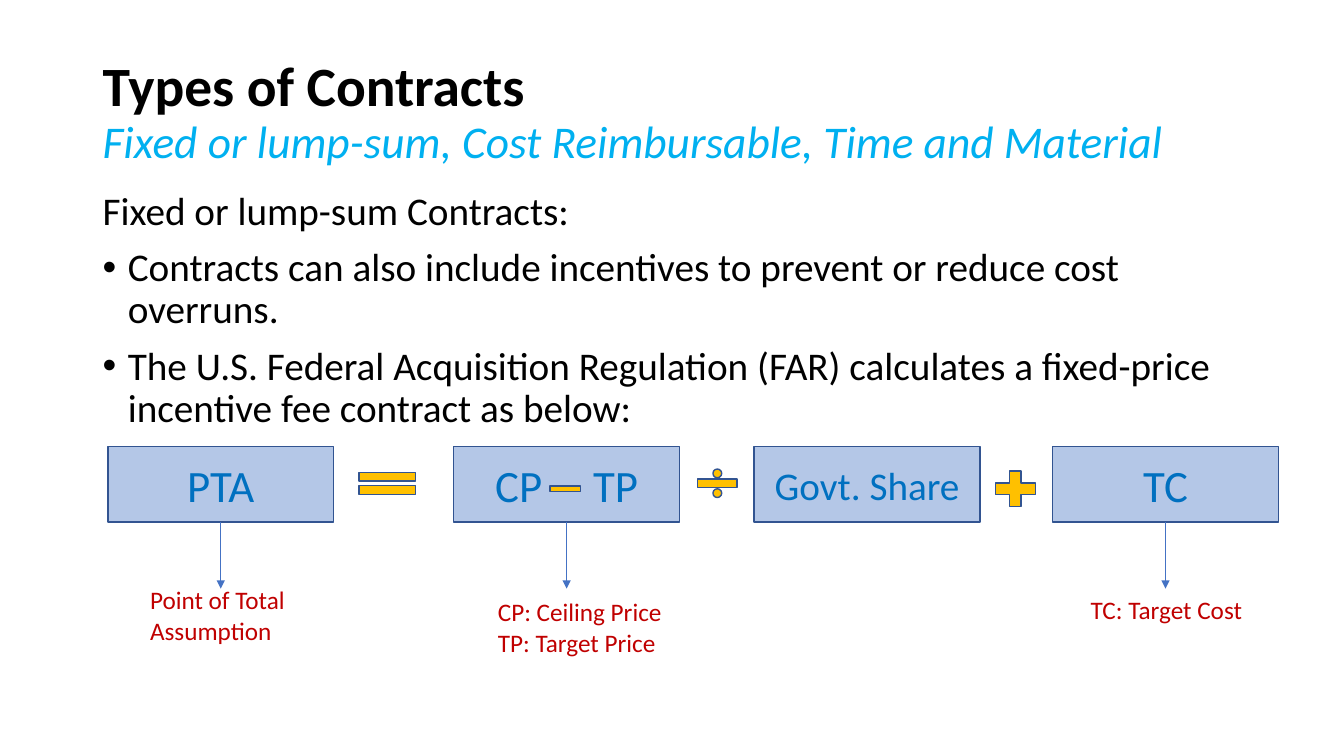
from dataclasses import dataclass

from lxml import etree
from pptx import Presentation
from pptx.dml.color import RGBColor
from pptx.enum.shapes import MSO_CONNECTOR, MSO_SHAPE
from pptx.enum.text import MSO_ANCHOR, PP_ALIGN
from pptx.oxml.ns import qn
from pptx.util import Inches, Pt

RECT = MSO_SHAPE.RECTANGLE
EQUAL, DIVIDE = MSO_SHAPE.MATH_EQUAL, MSO_SHAPE.MATH_DIVIDE
PLUS, MINUS = MSO_SHAPE.MATH_PLUS, MSO_SHAPE.MATH_MINUS
STRAIGHT = MSO_CONNECTOR.STRAIGHT
MIDDLE, TOP = MSO_ANCHOR.MIDDLE, MSO_ANCHOR.TOP
CENTER = PP_ALIGN.CENTER
BOTTOM_SIDE = 2

FONT = "Calibri"
COLORS = {
    "text": "000000",
    "subtitle": "00B0F0",
    "term": "0070C0",
    "term_fill": "B4C7E7",
    "outline": "325491",
    "operator": "FFC000",
    "arrow": "4472C4",
    "note": "C00000",
}
TERM_TOP, TERM_WIDTH, TERM_HEIGHT = 4.43, 2.24, 0.75
ARROW_END = 5.84
NOTE_WIDTH = 1.96


@dataclass
class Note:
    left: float
    top: float
    height: float
    lines: list[str]


@dataclass
class Term:
    left: float
    text: str
    size: int = 32
    gap: int = 0  # extra width of the space between words, in points
    note: Note | None = None


@dataclass
class Operator:
    kind: MSO_SHAPE
    left: float
    top: float
    width: float
    height: float


TERMS = [
    Term(1.07, "PTA", note=Note(1.39, 5.75, 0.71, ["Point of Total Assumption"])),
    Term(4.5, "CP TP", gap=29,
         note=Note(4.84, 5.87, 0.71, ["CP: Ceiling Price", "TP: Target Price"])),
    Term(7.48, "Govt. Share", size=28),
    Term(10.44, "TC", note=Note(10.72, 5.85, 0.4, ["TC: Target Cost"])),
]
OPERATORS = [
    Operator(EQUAL, 3.46, 4.61, 0.76, 0.37),
    Operator(DIVIDE, 6.85, 4.61, 0.53, 0.37),
    Operator(PLUS, 9.8, 4.61, 0.54, 0.48),
    Operator(MINUS, 5.4, 4.73, 0.41, 0.24),
]
BULLETS = [
    "Contracts can also include incentives to prevent or reduce cost overruns.",
    "The U.S. Federal Acquisition Regulation (FAR) calculates a fixed-price "
    "incentive fee contract as below:",
]


def rgb(name: str) -> RGBColor:
    return RGBColor.from_string(COLORS[name])


def write(p, text: str, *, size: float, color: str = "text", bold: bool = False,
          italic: bool = False, spacing: int = 0) -> None:
    """Append a formatted run to a paragraph."""
    r = p.add_run()
    r.text = text
    r.font.name, r.font.size = FONT, Pt(size)
    r.font.bold, r.font.italic = bold, italic
    r.font.color.rgb = rgb(color)
    if spacing:
        r.font._element.set("spc", str(spacing * 100))


def next_paragraph(tf, first: bool):
    return tf.paragraphs[0] if first else tf.add_paragraph()


def add_box(slide, left: float, top: float, width: float, height: float,
            anchor=TOP):
    sp = slide.shapes.add_textbox(Inches(left), Inches(top), Inches(width), Inches(height))
    tf = sp.text_frame
    tf.word_wrap = True
    tf.vertical_anchor = anchor
    return tf


def add_preset(slide, kind, left: float, top: float, width: float, height: float,
               fill: str):
    sp = slide.shapes.add_shape(kind, Inches(left), Inches(top), Inches(width), Inches(height))
    sp.shadow.inherit = False
    sp.fill.solid()
    sp.fill.fore_color.rgb = rgb(fill)
    sp.line.color.rgb = rgb("outline")
    sp.line.width = Pt(1)
    return sp


def add_bullet(p) -> None:
    pPr = p._p.get_or_add_pPr()
    pPr.set("marL", str(Inches(0.25)))
    pPr.set("indent", str(Inches(-0.25)))
    etree.SubElement(pPr, qn("a:buFont"), typeface="Arial")
    etree.SubElement(pPr, qn("a:buChar"), char="•")


def add_arrow_below(slide, sp) -> None:
    x = sp.left + sp.width // 2
    line = slide.shapes.add_connector(STRAIGHT, x, sp.top + sp.height, x, Inches(ARROW_END))
    line.begin_connect(sp, BOTTOM_SIDE)
    line.line.color.rgb = rgb("arrow")
    line.line.width = Pt(0.5)
    etree.SubElement(line.line._get_or_add_ln(), qn("a:tailEnd"), type="triangle")
    etree.SubElement(line._element.spPr, qn("a:effectLst"))


def add_note(slide, note: Note) -> None:
    tf = add_box(slide, note.left, note.top, NOTE_WIDTH, note.height)
    for i, text in enumerate(note.lines):
        write(next_paragraph(tf, i == 0), text, size=18, color="note")


def add_term(slide, term: Term) -> None:
    sp = add_preset(slide, RECT, term.left, TERM_TOP, TERM_WIDTH, TERM_HEIGHT, "term_fill")
    sp.text_frame.vertical_anchor = MIDDLE
    p = sp.text_frame.paragraphs[0]
    p.alignment = CENTER
    if term.gap:
        before, after = term.text.split()
        write(p, before, size=term.size, color="term")
        write(p, " ", size=term.size, color="term", spacing=term.gap)
        write(p, after, size=term.size, color="term")
    else:
        write(p, term.text, size=term.size, color="term")
    if term.note:
        add_arrow_below(slide, sp)
        add_note(slide, term.note)


def add_title(slide) -> None:
    p = add_box(slide, 0.92, 0.4, 11.5, 1.45, MIDDLE).paragraphs[0]
    p.line_spacing = 0.9
    write(p, "Types of Contracts", size=39.6, bold=True)
    p.add_line_break()
    write(p, "Fixed or lump-sum, Cost Reimbursable, Time and Material",
          size=32.4, color="subtitle", italic=True)


def add_body(slide) -> None:
    tf = add_box(slide, 0.92, 1.85, 11.5, 4.76)
    for i, text in enumerate(["Fixed or lump-sum Contracts:", *BULLETS]):
        p = next_paragraph(tf, i == 0)
        if i:
            add_bullet(p)
            p.space_before = Pt(10)
        p.line_spacing = 0.9
        write(p, text, size=28)


def main() -> None:
    prs = Presentation()
    prs.slide_width, prs.slide_height = Inches(13.33), Inches(7.5)
    slide = prs.slides.add_slide(prs.slide_layouts[6])
    add_title(slide)
    add_body(slide)
    for term in TERMS:
        add_term(slide, term)
    for op in OPERATORS:
        add_preset(slide, op.kind, op.left, op.top, op.width, op.height, "operator")
    prs.save("out.pptx")


if __name__ == "__main__":
    main()
